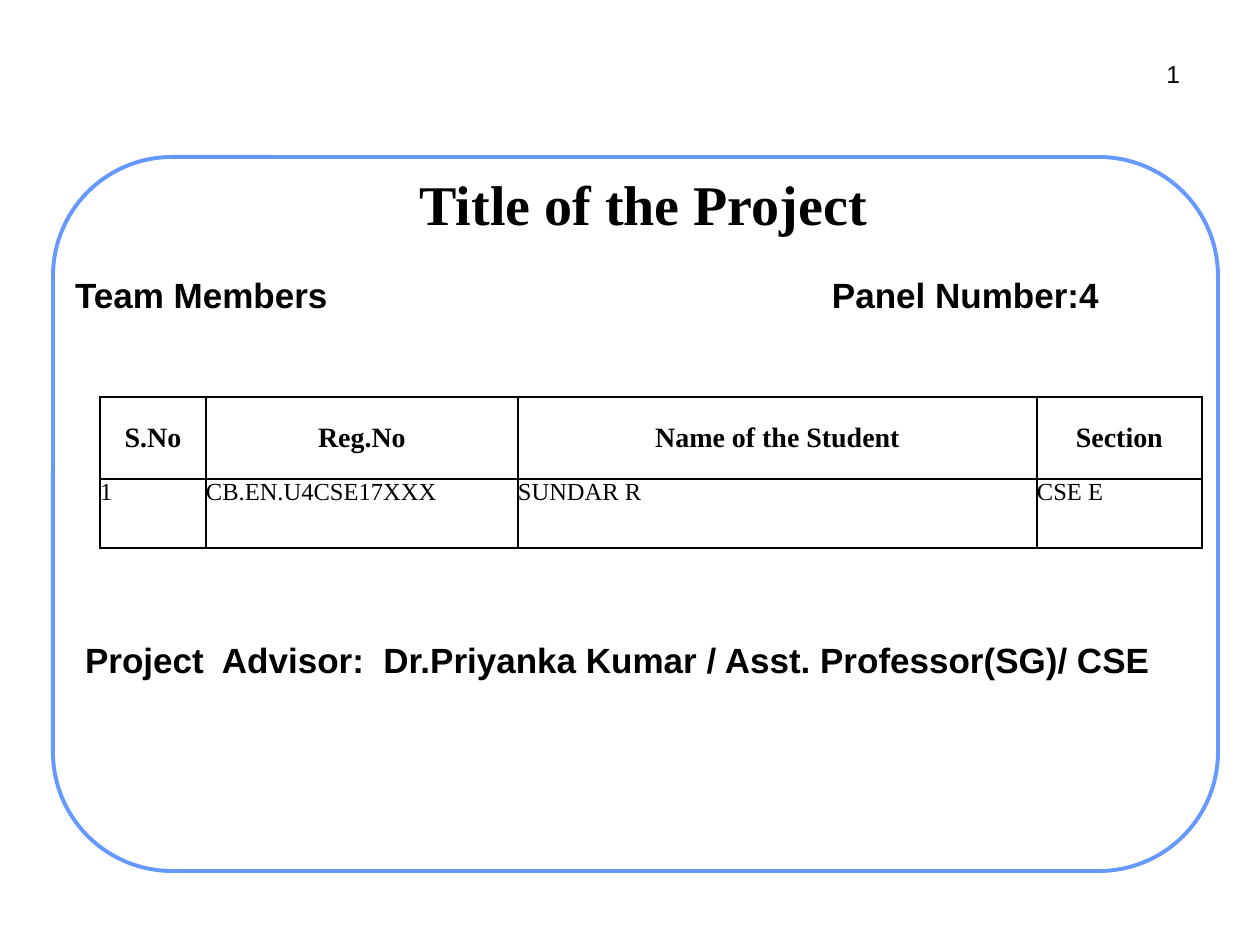
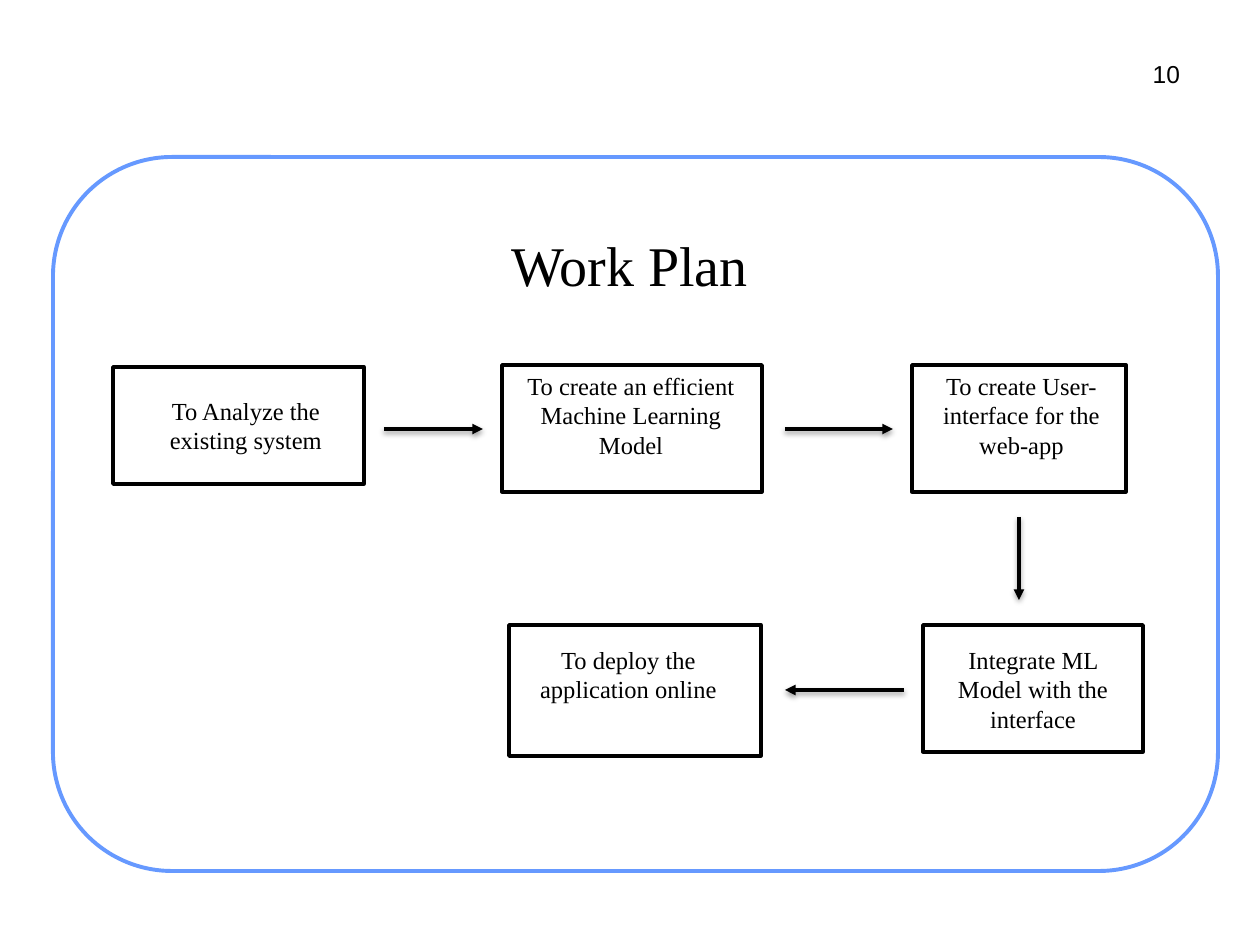
from lxml.etree import SubElement
from pptx import Presentation
from pptx.dml.color import RGBColor
from pptx.enum.shapes import MSO_CONNECTOR, MSO_SHAPE
from pptx.enum.text import MSO_ANCHOR, MSO_AUTO_SIZE, PP_ALIGN
from pptx.oxml import parse_xml
from pptx.oxml.ns import nsdecls, qn
from pptx.util import Emu, Pt

# Shared look
BLACK, WHITE, BLUE = "000000", "FFFFFF", "6699FF"
SERIF, SANS = "Times New Roman", "Arial"
LEFT, MID, RIGHT = PP_ALIGN.LEFT, PP_ALIGN.CENTER, PP_ALIGN.RIGHT
TOP, MIDDLE = MSO_ANCHOR.TOP, MSO_ANCHOR.MIDDLE
SCALE = 914400 / 126


def px(*nums):
    return [Emu(round(n * SCALE)) for n in nums]


def write(frame, text, size=14, font=SERIF, bold=False, align=LEFT,
          anchor=TOP, pad=(6, 6, 6, 6)):
    frame.word_wrap = True
    frame.auto_size = MSO_AUTO_SIZE.NONE
    frame.vertical_anchor = anchor
    (frame.margin_left, frame.margin_top,
     frame.margin_right, frame.margin_bottom) = px(*pad)
    para = frame.paragraphs[0]
    para.alignment = align
    run = para.add_run()
    run.text = text
    run.font.size, run.font.name, run.font.bold = Pt(size), font, bold
    run.font.color.rgb = RGBColor.from_string(BLACK)


deck = Presentation()
deck.slide_width, deck.slide_height = px(1260, 945)

# Each slide: rounded frame, title and page number
pages = [
    ("Title of the Project", True, (113, 140, 1061, 126), "1"),
    ("Work Plan", False, (121, 186, 1017, 156), "10"),
]
slides = []
for name, bold, spot, num in pages:
    slide = deck.slides.add_slide(deck.slide_layouts[5])
    slides.append(slide)
    title = slide.shapes.title
    title.left, title.top, title.width, title.height = px(*spot)
    write(title.text_frame, name, size=32, bold=bold, align=MID, anchor=MIDDLE)

    edge = slide.shapes.add_shape(MSO_SHAPE.ROUNDED_RECTANGLE,
                                  *px(53, 157, 1165, 714))
    edge.shadow.inherit = False
    edge.fill.solid()
    edge.fill.fore_color.rgb = RGBColor.from_string(WHITE)
    edge.line.color.rgb = RGBColor.from_string(BLUE)
    edge.line.width = Pt(2.25)
    title.element.addprevious(edge.element)

    page = slide.shapes.add_textbox(*px(1100, 53, 86, 41))
    write(page.text_frame, num, font=SANS, align=RIGHT)

cover, plan = slides

# Cover: headings and advisor
labels = [
    ("Team Members", 69, 268, 400),
    ("Panel Number:4", 826, 268, 340),
    ("Project  Advisor:  Dr.Priyanka Kumar / Asst. Professor(SG)/ CSE",
     79, 633, 1100),
]
for text, x, y, wide in labels:
    box = cover.shapes.add_textbox(*px(x, y, wide, 52))
    write(box.text_frame, text, size=20, font=SANS, bold=True)

# Cover: student table
rows = [
    ("S.No", "Reg.No", "Name of the Student", "Section"),
    ("1", "CB.EN.U4CSE17XXX", "SUNDAR R", "CSE E"),
]
wides, highs = (106, 312, 519, 165), (82, 69)
grid = cover.shapes.add_table(
    2, 4, *px(100, 397, sum(wides), sum(highs))).table
grid.first_row = grid.horz_banding = False
for col, wide in zip(grid.columns, px(*wides)):
    col.width = wide
for row, high in zip(grid.rows, px(*highs)):
    row.height = high
for r, row in enumerate(rows):
    for c, text in enumerate(row):
        cell = grid.cell(r, c)
        head = r == 0
        write(cell.text_frame, text, size=16 if head else 14, bold=head,
              align=MID if head else LEFT)
        cell.vertical_anchor = MIDDLE if head else TOP
        cell.margin_left = cell.margin_right = 0
        cell.margin_top = cell.margin_bottom = 0
        props = cell._tc.get_or_add_tcPr()
        for side in ("a:lnL", "a:lnR", "a:lnT", "a:lnB"):
            rule = SubElement(props, qn(side), w=str(Pt(1)))
            fill = SubElement(rule, qn("a:solidFill"))
            SubElement(fill, qn("a:srgbClr"), val=BLACK)
        cell.fill.background()

# Plan: steps, each with its place and text padding
steps = [
    ("To Analyze the existing system",
     (113, 367, 251, 117), (26, 29, 11, 6)),
    ("To create an efficient Machine Learning Model",
     (502, 365, 260, 127), (9, 6, 11, 6)),
    ("To create User-interface for the web-app",
     (912, 365, 214, 127), (18, 6, 13, 6)),
    ("Integrate ML Model with the interface",
     (923, 625, 220, 127), (13, 20, 13, 6)),
    ("To deploy the application online",
     (509, 625, 252, 131), (19, 20, 32, 6)),
]
for text, spot, pad in steps:
    box = plan.shapes.add_shape(MSO_SHAPE.RECTANGLE, *px(*spot))
    box.shadow.inherit = False
    box.fill.solid()
    box.fill.fore_color.rgb = RGBColor.from_string(WHITE)
    box.line.color.rgb = RGBColor.from_string(BLACK)
    box.line.width = Pt(2)
    write(box.text_frame, text, align=MID, pad=pad)

# Plan: arrows with a soft shadow
glow = (f'<a:effectLst {nsdecls("a")}><a:outerShdw blurRad="{Pt(3)}" '
        f'dist="{Pt(1.6)}" dir="5400000" rotWithShape="0">'
        f'<a:srgbClr val="{BLACK}"><a:alpha val="38000"/></a:srgbClr>'
        '</a:outerShdw></a:effectLst>')
links = [
    (384, 429, 483, 429),
    (785, 429, 893, 429),
    (1019, 517, 1019, 600),
    (904, 690, 785, 690),
]
for ends in links:
    link = plan.shapes.add_connector(MSO_CONNECTOR.STRAIGHT, *px(*ends))
    link.line.color.rgb = RGBColor.from_string(BLACK)
    link.line.width = Pt(2)
    SubElement(link.line._get_or_add_ln(), qn("a:tailEnd"), type="triangle")
    link.element.spPr.append(parse_xml(glow))

deck.save("out.pptx")
